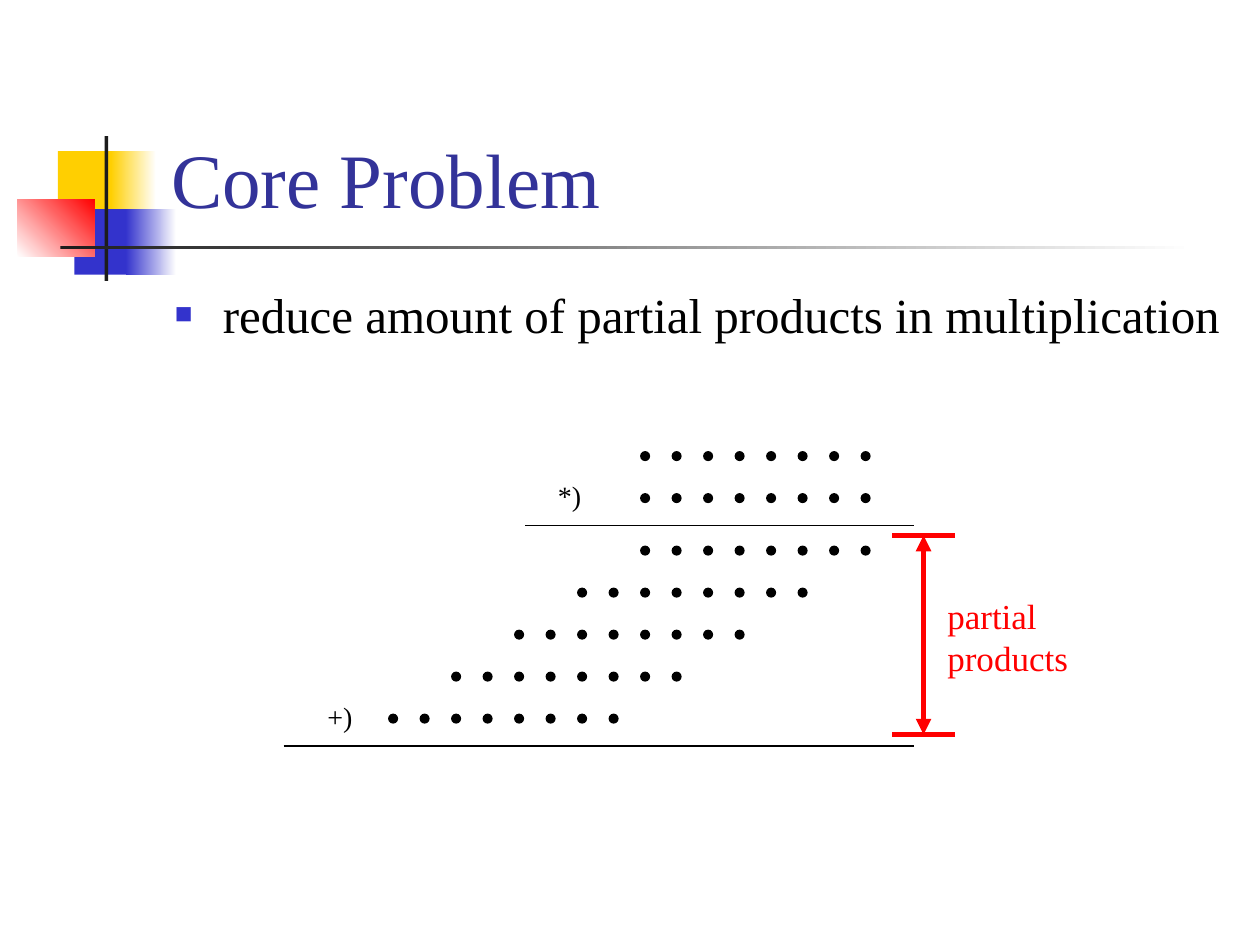
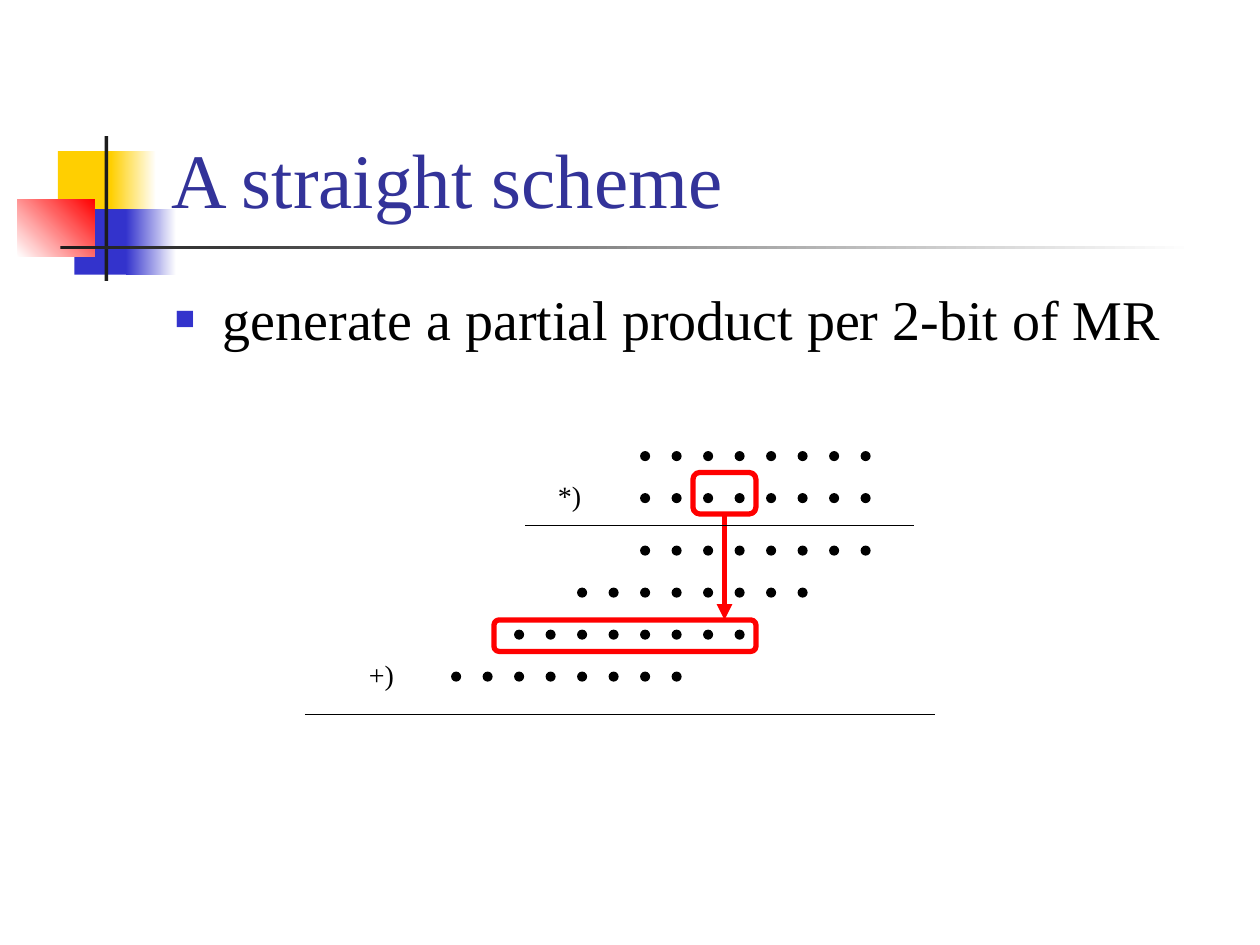
from dataclasses import dataclass

from lxml.etree import SubElement
from pptx import Presentation
from pptx.dml.color import RGBColor
from pptx.enum.shapes import MSO_CONNECTOR, MSO_SHAPE
from pptx.enum.text import MSO_ANCHOR
from pptx.oxml.ns import qn
from pptx.util import Inches, Pt


@dataclass(frozen=True)
class Theme:
    font: str = "Times New Roman"
    title_color: str = "333399"
    text_color: str = "000000"
    accent: str = "FF0000"
    blue: str = "3333CC"
    yellow: str = "FFCF01"
    dark: str = "1C1C1C"
    white: str = "FFFFFF"
    title_size: int = 44
    operator_size: int = 16
    label_size: int = 20
    thin: float = 0.75
    thick: float = 3


THEME = Theme()
BITS = 8
BIT_PITCH = 0.25
ROW_PITCH = 1 / 3
DOT_SIZE = 0.08
FACTOR_LEFT = 5.08
FACTOR_TOP = 3.58
PRODUCT_TOP = 4.33


def color(code):
    return RGBColor.from_string(code)


def add_shape(slide, kind, left, top, width, height):
    shape = slide.shapes.add_shape(
        kind, Inches(left), Inches(top), Inches(width), Inches(height))
    shape.shadow.inherit = False
    return shape


def add_solid(slide, kind, box, fill):
    shape = add_shape(slide, kind, *box)
    shape.fill.solid()
    shape.fill.fore_color.rgb = color(fill)
    shape.line.fill.background()


def add_gradient(slide, box, start, end, angle=0):
    shape = add_shape(slide, MSO_SHAPE.RECTANGLE, *box)
    shape.fill.gradient()
    shape.fill.gradient_angle = angle
    for stop, code, position in zip(shape.fill.gradient_stops, (start, end), (0, 1)):
        stop.color.rgb = color(code)
        stop.position = position
    shape.line.fill.background()


def add_frame(slide, box):
    shape = add_shape(slide, MSO_SHAPE.ROUNDED_RECTANGLE, *box)
    shape.fill.background()
    shape.line.color.rgb = color(THEME.accent)
    shape.line.width = Pt(THEME.thick)


def add_line(slide, start, end, code, width, arrowheads=()):
    connector = slide.shapes.add_connector(
        MSO_CONNECTOR.STRAIGHT, *map(Inches, start), *map(Inches, end))
    connector.line.color.rgb = color(code)
    connector.line.width = Pt(width)
    for arrowhead in arrowheads:
        SubElement(connector.line._get_or_add_ln(), qn(f"a:{arrowhead}"), type="triangle")
    SubElement(connector._element.spPr, qn("a:effectLst"))


def add_rule(slide, left, right, top):
    add_line(slide, (left, top), (right, top), THEME.text_color, THEME.thin)


def add_text(slide, text, box, size, code, wrap=True, anchor=MSO_ANCHOR.TOP):
    frame = slide.shapes.add_textbox(*map(Inches, box)).text_frame
    frame.word_wrap = wrap
    frame.vertical_anchor = anchor
    paragraph = frame.paragraphs[0]
    paragraph.text = text
    paragraph.font.name = THEME.font
    paragraph.font.size = Pt(size)
    paragraph.font.color.rgb = color(code)
    return paragraph


def add_operator(slide, text, left, top):
    add_text(slide, text, (left, top, 0.4, 0.37), THEME.operator_size,
             THEME.text_color, wrap=False)


def add_bullet(slide, text, size):
    paragraph = add_text(slide, text, (1.29, 2.21, 8.52, 1), size, THEME.text_color)
    properties = paragraph._p.get_or_add_pPr()
    properties.set("marL", str(Inches(0.38)))
    properties.set("indent", str(Inches(-0.38)))
    bullet_parts = [
        SubElement(SubElement(properties, qn("a:spcBef")), qn("a:spcPct"), val="20000").getparent(),
        SubElement(properties, qn("a:buClr")),
        SubElement(properties, qn("a:buSzPct"), val="60000"),
        SubElement(properties, qn("a:buFont"), typeface=THEME.font),
        SubElement(properties, qn("a:buChar"), char="■"),
    ]
    SubElement(bullet_parts[1], qn("a:srgbClr"), val=THEME.blue)
    for position, part in enumerate(bullet_parts):
        properties.insert(position, part)


def add_dot_row(slide, left, top):
    for bit in range(BITS):
        add_solid(slide, MSO_SHAPE.OVAL,
                  (left + bit * BIT_PITCH, top, DOT_SIZE, DOT_SIZE), THEME.text_color)


def add_multiplication(slide, product_count):
    """Draw two factors and their partial products, each shifted left by two bits."""
    add_operator(slide, "*)", 4.33, 3.75)
    add_rule(slide, 4.17, 7.25, 4.17)
    for row in range(2):
        add_dot_row(slide, FACTOR_LEFT, FACTOR_TOP + row * ROW_PITCH)
    for row in range(product_count):
        add_dot_row(slide, FACTOR_LEFT - 2 * row * BIT_PITCH, PRODUCT_TOP + row * ROW_PITCH)


def add_decoration(slide):
    rectangle = MSO_SHAPE.RECTANGLE
    add_solid(slide, rectangle, (0.46, 1.2, 0.48, 0.52), THEME.yellow)
    add_gradient(slide, (0.88, 1.2, 0.36, 0.52), THEME.yellow, THEME.white)
    add_solid(slide, rectangle, (0.59, 1.66, 0.46, 0.52), THEME.blue)
    add_gradient(slide, (1, 1.66, 0.4, 0.52), THEME.blue, THEME.white)
    add_gradient(slide, (0.14, 1.58, 0.61, 0.46), THEME.white, THEME.accent, angle=45)
    add_solid(slide, rectangle, (0.83, 1.08, 0.03, 1.15), THEME.dark)
    add_gradient(slide, (0.48, 1.95, 9, 0.03), THEME.dark, THEME.white)


def add_titled_slide(presentation, title, bullet, bullet_size):
    slide = presentation.slides.add_slide(presentation.slide_layouts[6])
    add_decoration(slide)
    add_text(slide, title, (1.26, 0.23, 8.52, 1.6), THEME.title_size,
             THEME.title_color, anchor=MSO_ANCHOR.BOTTOM)
    add_bullet(slide, bullet, bullet_size)
    return slide


def build_core_problem(presentation):
    slide = add_titled_slide(
        presentation, "Core Problem",
        "reduce amount of partial products in multiplication", 28)
    add_multiplication(slide, 5)
    add_operator(slide, "+)", 2.5, 5.5)
    add_rule(slide, 2.25, 7.25, 5.92)
    top, bottom = 4.25, 5.83
    for limit in (top, bottom):
        add_line(slide, (7.08, limit), (7.58, limit), THEME.accent, THEME.thick)
    add_line(slide, (7.33, top), (7.33, bottom), THEME.accent, THEME.thick,
             ("headEnd", "tailEnd"))
    add_text(slide, "partial products", (7.42, 4.67, 1.3, 0.75),
             THEME.label_size, THEME.accent)


def build_straight_scheme(presentation):
    slide = add_titled_slide(
        presentation, "A straight scheme",
        "generate a partial product per 2-bit of MR", 32)
    add_frame(slide, (5.5, 3.75, 0.5, 0.33))
    add_frame(slide, (3.92, 4.92, 2.08, 0.25))
    add_line(slide, (5.75, 4.08), (5.75, 4.92), THEME.accent, THEME.thick, ("tailEnd",))
    add_multiplication(slide, 4)
    add_operator(slide, "+)", 2.83, 5.17)
    add_rule(slide, 2.42, 7.42, 5.67)


def main():
    presentation = Presentation()
    presentation.slide_width = Inches(10)
    presentation.slide_height = Inches(7.5)
    build_core_problem(presentation)
    build_straight_scheme(presentation)
    presentation.save("out.pptx")


if __name__ == "__main__":
    main()
